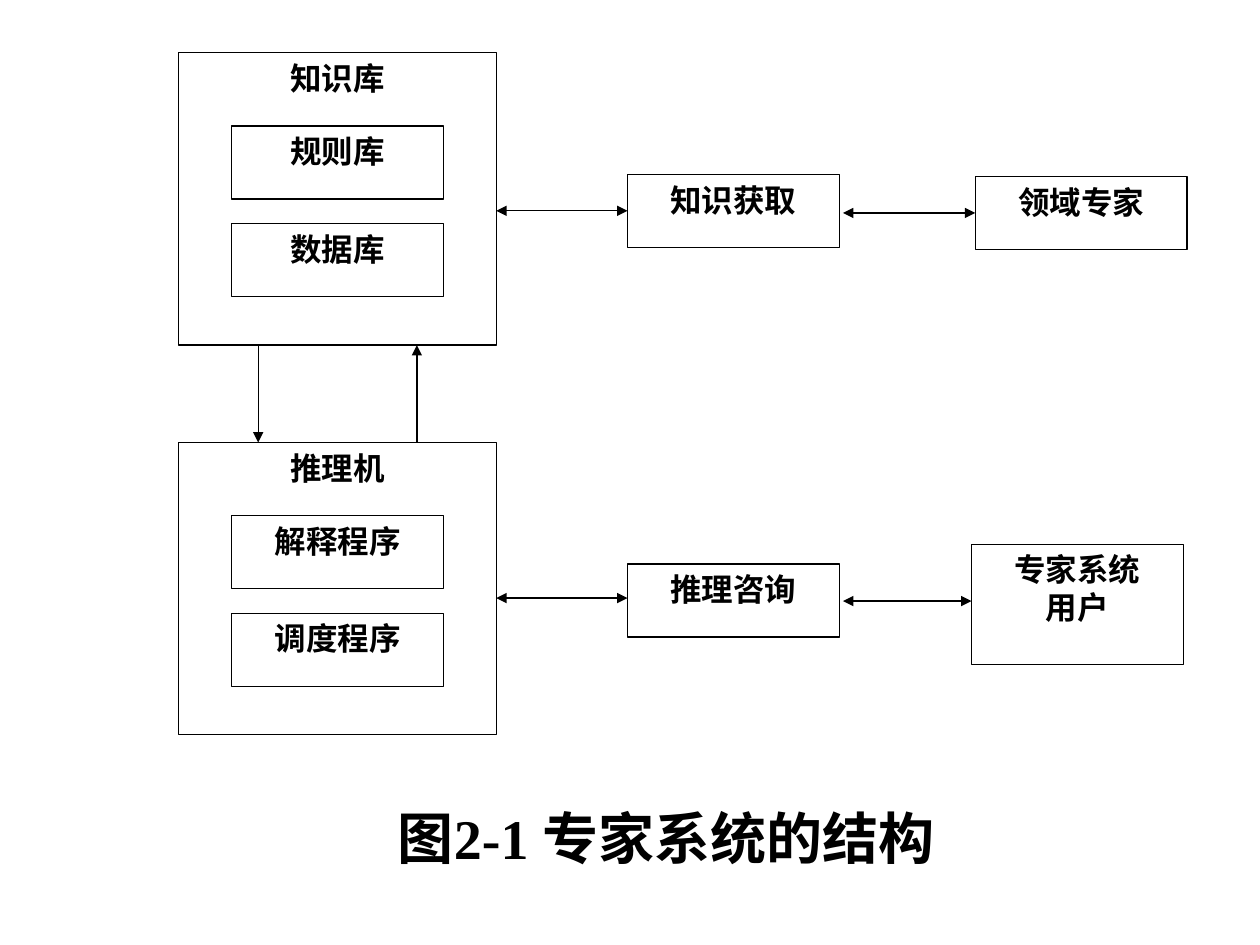
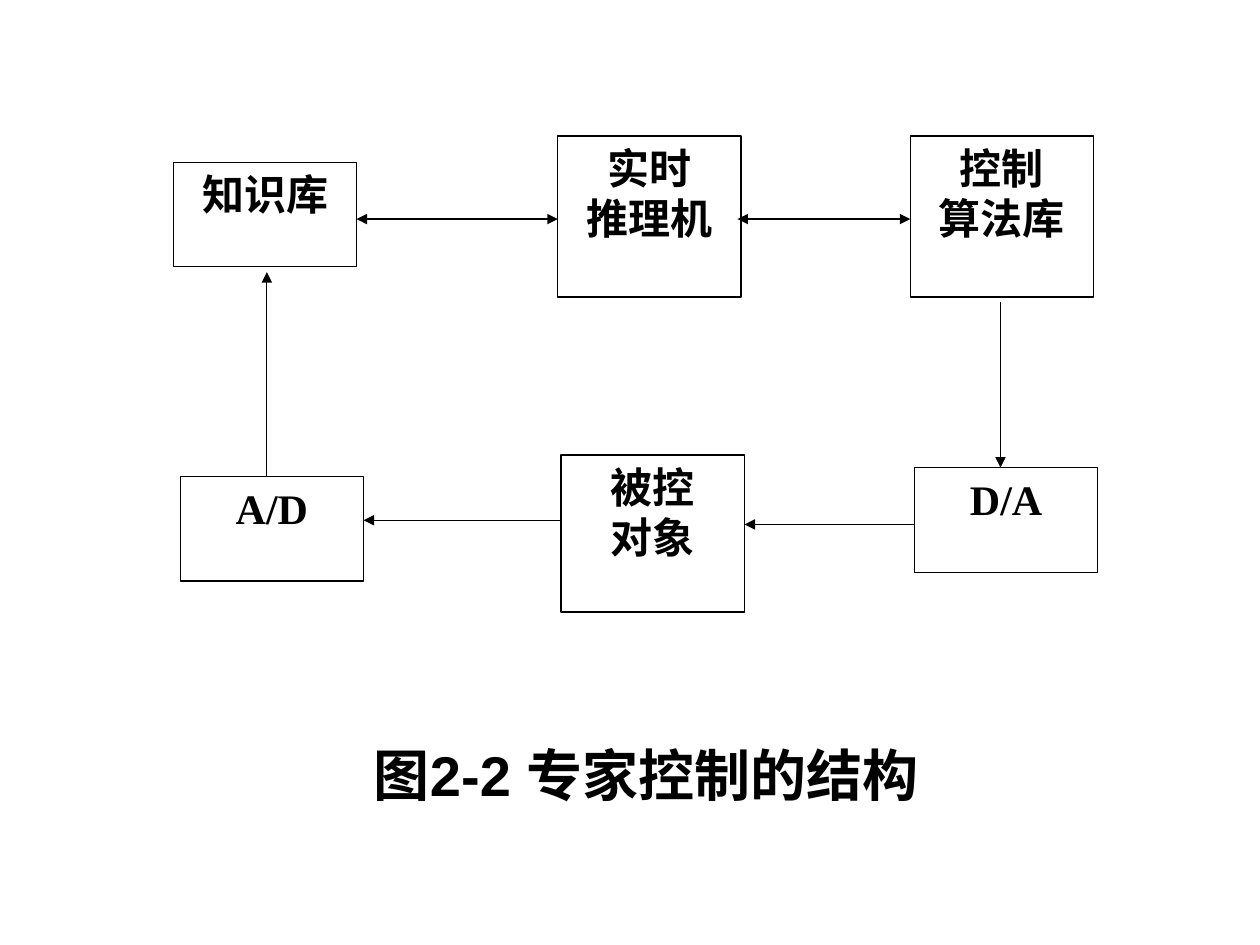
import dataclasses

import lxml.etree
import pptx
import pptx.dml.color
import pptx.enum.shapes
import pptx.enum.text
import pptx.oxml.ns
import pptx.util

Pt = pptx.util.Pt
Align = pptx.enum.text.PP_ALIGN
BLACK = "000000"
WHITE = "FFFFFF"
SERIF = "Times New Roman"
SANS = "Arial"
HAN = "Noto Sans CJK SC"
LEFT_SIDE = 1


@dataclasses.dataclass
class Box:
    text: str
    left: float
    top: float
    width: float
    height: float


@dataclasses.dataclass
class Arrow:
    """A line with a head at its end; goal names the box whose left middle it joins."""
    x1: float
    y1: float
    x2: float
    y2: float
    both: bool = False
    goal: str = ""


@dataclasses.dataclass
class Figure:
    boxes: list[Box]
    arrows: list[Arrow]
    size: float
    title: Box
    font: str
    align: Align


def color(code: str) -> pptx.dml.color.RGBColor:
    return pptx.dml.color.RGBColor.from_string(code)


def add_node(parent, tag: str, **values: str):
    node = lxml.etree.SubElement(parent, pptx.oxml.ns.qn(tag))
    for key, value in values.items():
        node.set(key, value)
    return node


def write(frame, text: str, *, size: float, font: str = SERIF,
          align: Align = Align.CENTER, before: float = 0) -> None:
    """Fill a text frame with bold text, one paragraph a line."""
    frame.word_wrap = True
    frame.vertical_anchor = pptx.enum.text.MSO_ANCHOR.TOP
    for index, line in enumerate(text.split("\n")):
        para = frame.add_paragraph() if index else frame.paragraphs[0]
        para.alignment = align
        para.space_before = Pt(before)
        run = para.add_run()
        run.text = line
        run.font.size = Pt(size)
        run.font.bold = True
        run.font.name = font
        run.font.color.rgb = color(BLACK)
        add_node(run.font._element, "a:ea", typeface=HAN)


def draw_box(slide, box: Box, size: float):
    shape = slide.shapes.add_shape(
        pptx.enum.shapes.MSO_SHAPE.RECTANGLE,
        Pt(box.left), Pt(box.top), Pt(box.width), Pt(box.height))
    shape.shadow.inherit = False
    shape.fill.solid()
    shape.fill.fore_color.rgb = color(WHITE)
    shape.line.color.rgb = color(BLACK)
    shape.line.width = Pt(0.75)
    write(shape.text_frame, box.text, size=size)
    return shape


def draw_arrow(slide, arrow: Arrow, shapes: dict) -> None:
    link = slide.shapes.add_connector(
        pptx.enum.shapes.MSO_CONNECTOR.STRAIGHT,
        Pt(arrow.x1), Pt(arrow.y1), Pt(arrow.x2), Pt(arrow.y2))
    if arrow.goal:
        link.end_connect(shapes[arrow.goal], LEFT_SIDE)
    link.line.color.rgb = color(BLACK)
    link.line.width = Pt(0.75)
    line = link.line._get_or_add_ln()
    if arrow.both:
        add_node(line, "a:headEnd", type="triangle")
    add_node(line, "a:tailEnd", type="triangle")
    add_node(link._element.spPr, "a:effectLst")


def draw_title(slide, figure: Figure) -> None:
    box = figure.title
    shape = slide.shapes.add_textbox(
        Pt(box.left), Pt(box.top), Pt(box.width), Pt(box.height))
    write(shape.text_frame, box.text, size=32, font=figure.font,
          align=figure.align, before=20)
    shape.text_frame.auto_size = pptx.enum.text.MSO_AUTO_SIZE.SHAPE_TO_FIT_TEXT


def draw_figure(deck, figure: Figure) -> None:
    slide = deck.slides.add_slide(deck.slide_layouts[6])
    shapes = {box.text: draw_box(slide, box, figure.size) for box in figure.boxes}
    for arrow in figure.arrows:
        draw_arrow(slide, arrow, shapes)
    draw_title(slide, figure)


def make_system() -> Figure:
    """Two stacked frames, each with two parts and a row of boxes to its right."""
    left, top, step = 102.2, 30.2, 222.7
    wide, high = 181.4, 167
    part_w, part_h = 121, 41.8
    edge = left + wide
    link_x = 358.6
    boxes = []
    for row, (head, first, second, link) in enumerate([
            ("知识库", "规则库", "数据库", "知识获取"),
            ("推理机", "解释程序", "调度程序", "推理咨询")]):
        y = top + row * step
        part_x = left + (wide - part_w) / 2
        boxes += [
            Box(head, left, y, wide, high),
            Box(first, part_x, y + part_h, part_w, part_h),
            Box(second, part_x, y + 97.5, part_w, part_h),
            Box(link, link_x, y + 69.4, part_w, part_h),
        ]
    boxes += [
        Box("领域专家", 557.3, 100.8, part_w, part_h),
        Box("专家系统\n用户", 555.2, 311, part_w, 68.6),
    ]
    base, next_top = top + high, top + step
    arrows = [
        Arrow(left + wide / 4, base, left + wide / 4, next_top),
        Arrow(edge - wide / 4, next_top, edge - wide / 4, base),
        Arrow(edge, 120.5, link_x, 120.5, both=True, goal="知识获取"),
        Arrow(edge, 341.8, link_x, 341.8, both=True),
        Arrow(481.7, 121.7, 557.3, 121.7, both=True, goal="领域专家"),
        Arrow(481.7, 343.5, 555.2, 343.5, both=True),
    ]
    title = Box("图2-1 专家系统的结构", 162, 455.8, 437.8, 46)
    return Figure(boxes, arrows, 18, title, SERIF, Align.CENTER)


def make_control() -> Figure:
    """A loop of six boxes in two rows."""
    wide, low, high = 104.7, 59.8, 92
    boxes = [
        Box("知识库", 99.2, 92.7, wide, low),
        Box("实时\n推理机", 318.7, 77.8, wide, high),
        Box("控制\n算法库", 520.2, 77.8, wide, high),
        Box("A/D", 103, 272.2, wide, low),
        Box("被控\n对象", 320.6, 260, wide, 89.8),
        Box("D/A", 522.6, 267.2, wide, low),
    ]
    arrows = [
        Arrow(203.8, 125.2, 318.7, 125.2, both=True),
        Arrow(421.4, 125.2, 520.2, 125.2, both=True),
        Arrow(571.7, 172.8, 571.7, 267.2),
        Arrow(522.4, 299.7, 425.5, 299.7),
        Arrow(320.6, 297.3, 207.8, 297.3),
        Arrow(152.5, 272.2, 152.5, 155.5),
    ]
    title = Box("图2-2 专家控制的结构", 206.6, 419.8, 373, 46)
    return Figure(boxes, arrows, 24, title, SANS, Align.LEFT)


def main() -> None:
    deck = pptx.Presentation()
    deck.slide_width, deck.slide_height = Pt(720), Pt(540)
    for figure in (make_system(), make_control()):
        draw_figure(deck, figure)
    deck.save("out.pptx")


if __name__ == "__main__":
    main()
